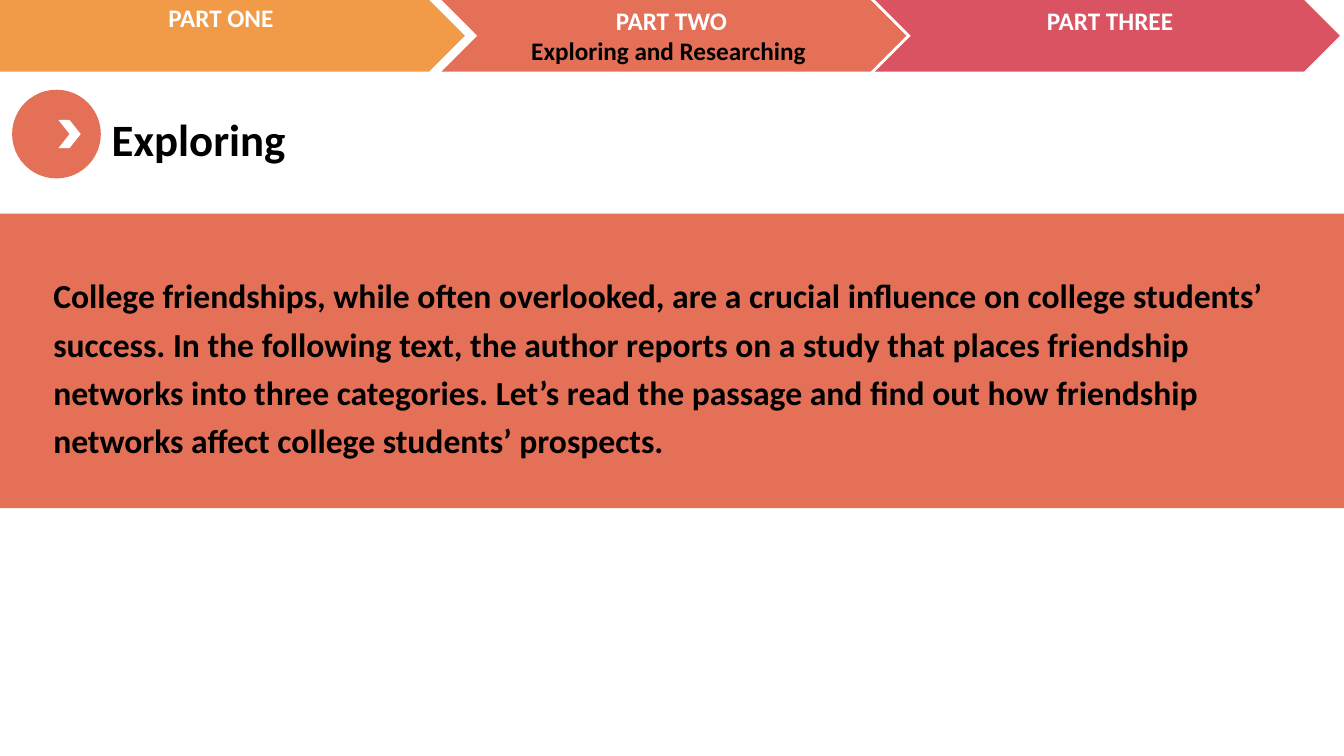
from pptx import Presentation
from pptx.dml.color import RGBColor
from pptx.enum.shapes import MSO_SHAPE as Shape
from pptx.enum.text import PP_ALIGN as Align
from pptx.util import Inches, Pt

FONT = "Calibri"
BLACK, WHITE = "000000", "FFFFFF"
ORANGE, CORAL, ROSE = "F19B48", "E47057", "DA5362"

# Content: (fill, chevron left, chevron width, label left, label top, lines)
PARTS = [
    (ROSE, 8.68, 4.61, 8.73, 0, [("PART THREE", WHITE)]),
    (ORANGE, -0.61, 5.22, -0.06, -0.03, [("PART ONE ", WHITE)]),
    (CORAL, 4.38, 4.61, 4.38, 0,
     [("PART TWO", WHITE), ("Exploring and Researching ", BLACK)]),
]
TITLE = "Exploring"
PASSAGE = (
    "College friendships, while often overlooked, are a crucial influence on "
    "college students’ success. In the following text, the author reports on "
    "a study that places friendship networks into three categories. Let’s "
    "read the passage and find out how friendship networks affect college "
    "students’ prospects."
)
BAR_HEIGHT, LABEL_WIDTH = 0.71, 4.56
LINE_HEIGHT, LABEL_PADDING = 0.3, 0.1


def color(value):
    return RGBColor.from_string(value)


def add_filled(page, kind, left, top, width, height, fill):
    shape = page.shapes.add_shape(
        kind, Inches(left), Inches(top), Inches(width), Inches(height))
    shape.shadow.inherit = False
    shape.fill.solid()
    shape.fill.fore_color.rgb = color(fill)
    shape.line.fill.background()
    return shape


def add_text(page, left, top, width, height, lines, size,
             align=Align.LEFT, spacing=None):
    box = page.shapes.add_textbox(
        Inches(left), Inches(top), Inches(width), Inches(height))
    frame = box.text_frame
    frame.word_wrap = True
    for index, (text, ink) in enumerate(lines):
        para = frame.add_paragraph() if index else frame.paragraphs[0]
        para.alignment = align
        para.line_spacing = spacing
        span = para.add_run()
        span.text = text
        span.font.name = FONT
        span.font.size = Pt(size)
        span.font.bold = True
        span.font.color.rgb = color(ink)


def main():
    deck = Presentation()
    deck.slide_width, deck.slide_height = Inches(13.33), Inches(7.5)
    page = deck.slides.add_slide(deck.slide_layouts[6])

    # Progress bar
    for fill, left, width, label_left, label_top, lines in PARTS:
        add_filled(page, Shape.CHEVRON, left, 0, width, BAR_HEIGHT, fill)
        add_text(page, label_left, label_top, LABEL_WIDTH,
                 LABEL_PADDING + LINE_HEIGHT * len(lines), lines, 18,
                 Align.CENTER)

    # Section heading
    add_filled(page, Shape.OVAL, 0.12, 0.89, 0.88, 0.88, CORAL)
    add_filled(page, Shape.CHEVRON, 0.58, 1.19, 0.22, 0.28, WHITE)
    add_text(page, 1.01, 1.06, 4.85, 0.64, [(TITLE, BLACK)], 32)

    # Passage band
    band = add_filled(page, Shape.ROUNDED_RECTANGLE,
                      -0.45, 2.12, 14.26, 2.92, CORAL)
    band.adjustments[0] = 0.08
    add_text(page, 0.43, 2.6, 12.48, 2.01, [(PASSAGE, BLACK)], 24,
             spacing=1.2)

    deck.save("out.pptx")


if __name__ == "__main__":
    main()
